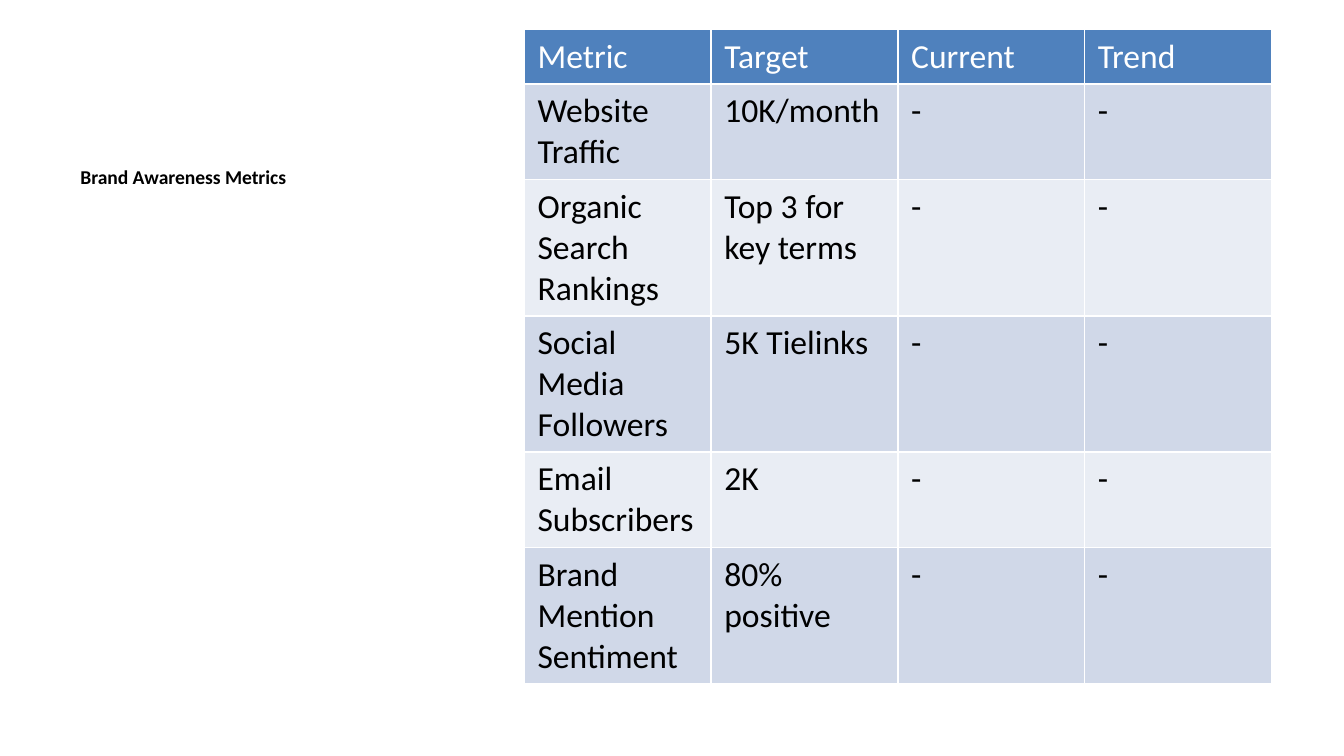
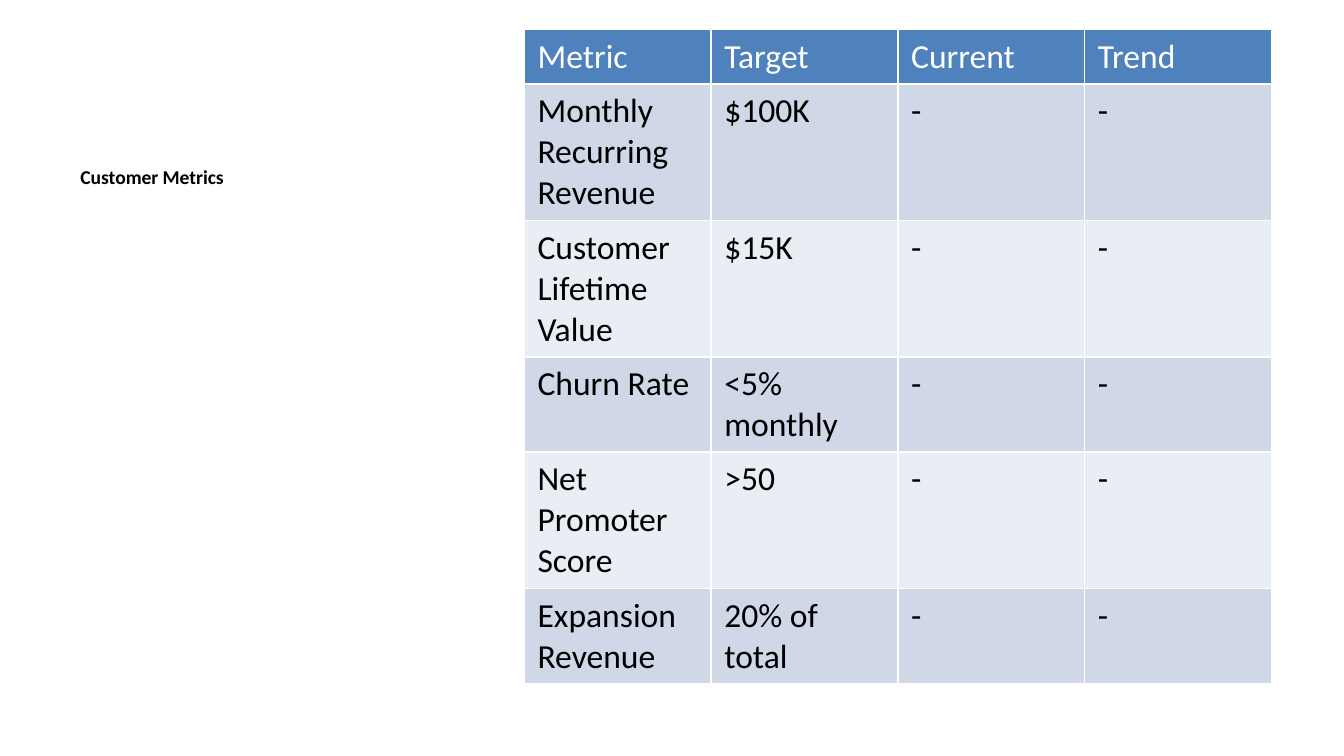
from pptx import Presentation
from pptx.dml.color import RGBColor as RGB
from pptx.util import Inches, Pt

COLORS = {
    "text": "000000",
    "white": "FFFFFF",
    "header": "4F81BD",
    "band": "D0D8E8",
    "light": "E9EDF4",
}
HEADER = ("Metric", "Target", "Current", "Trend")
SLIDES = [
    ("Brand Awareness Metrics", [
        ("Website Traffic", "10K/month", 2),
        ("Organic Search Rankings", "Top 3 for key terms", 3),
        ("Social Media Followers", "5K Tielinks", 3),
        ("Email Subscribers", "2K", 2),
        ("Brand Mention Sentiment", "80% positive", 3),
    ]),
    ("Customer Metrics", [
        ("Monthly Recurring Revenue", "$100K", 3),
        ("Customer Lifetime Value", "$15K", 3),
        ("Churn Rate", "<5% monthly", 2),
        ("Net Promoter Score", ">50", 3),
        ("Expansion Revenue", "20% of total", 2),
    ]),
]
COL_W = 1.39
LINE_H = 0.61 / 2


def write(tf, text, size=18, color="text", bold=False, before=0):
    tf.word_wrap = True
    p = tf.paragraphs[0]
    p.space_before = Pt(before)
    r = p.add_run()
    r.text = text
    r.font.name = "Calibri"
    r.font.size = Pt(size)
    r.font.bold = bold
    r.font.color.rgb = RGB.from_string(COLORS[color])


prs = Presentation()
prs.slide_width = Inches(10)
prs.slide_height = Inches(10 * 9 / 16)

for title, metrics in SLIDES:
    s = prs.slides.add_slide(prs.slide_layouts[6])
    sp = s.shapes.add_textbox(Inches(0.5), Inches(1.18), Inches(3.29), Inches(3.85))
    write(sp.text_frame, title, size=10.5, bold=True, before=30)

    rows = [HEADER] + [(name, target, "-", "-") for name, target, _ in metrics]
    heights = [0.1 + LINE_H * n for n in [1] + [lines for _, _, lines in metrics]]
    table = s.shapes.add_table(
        len(rows), len(HEADER), Inches(3.9), Inches(0.22),
        Inches(COL_W * len(HEADER)), Inches(sum(heights))).table
    for col in table.columns:
        col.width = Inches(COL_W)
    for i, (row, height) in enumerate(zip(rows, heights)):
        table.rows[i].height = Inches(height)
        fill = "header" if i == 0 else "band" if i % 2 else "light"
        for j, text in enumerate(row):
            cell = table.cell(i, j)
            cell.fill.solid()
            cell.fill.fore_color.rgb = RGB.from_string(COLORS[fill])
            write(cell.text_frame, text, color="text" if i else "white")

prs.save("out.pptx")
